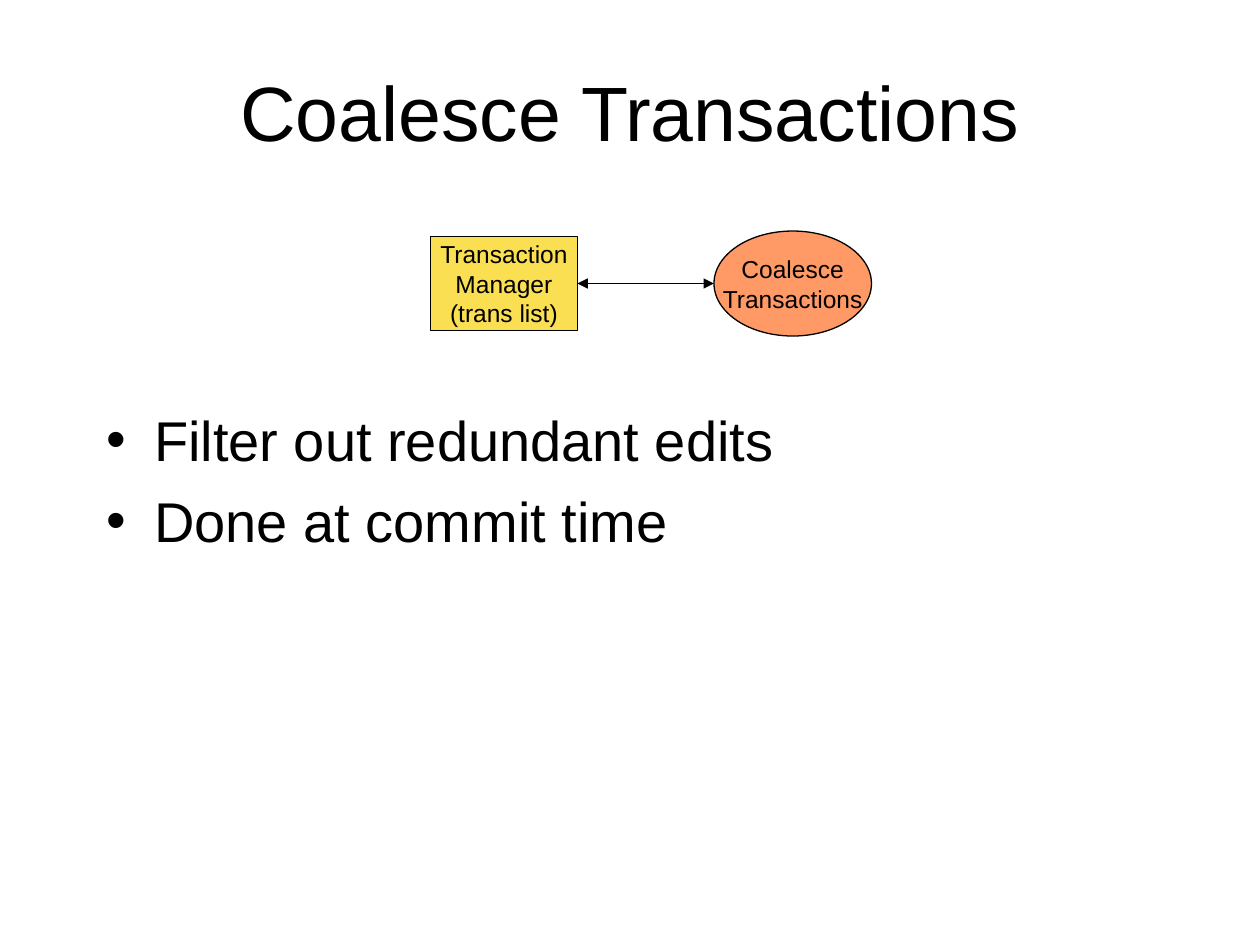
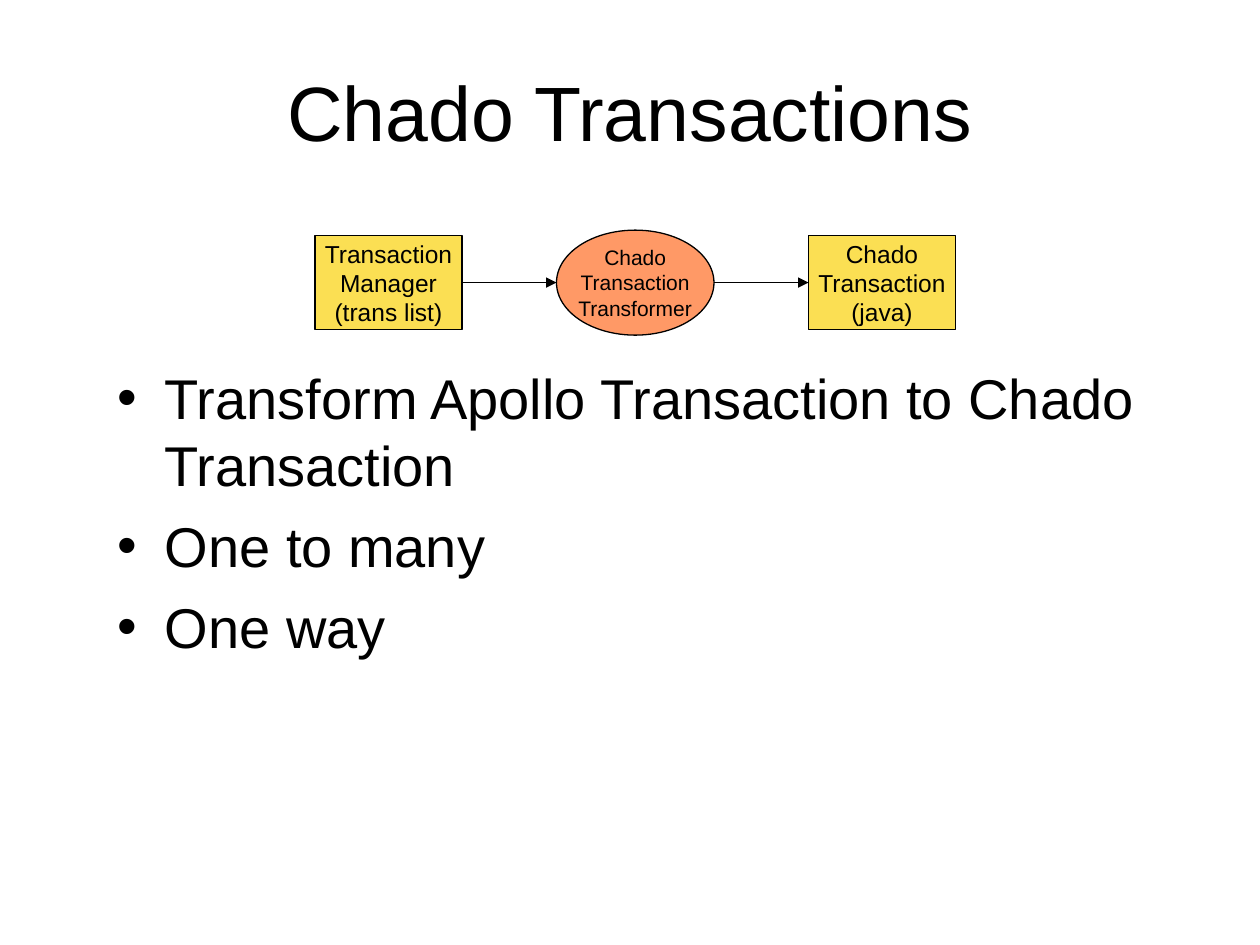
from lxml import etree
from pptx import Presentation
from pptx.dml.color import RGBColor
from pptx.enum import shapes as sh, text as tx
from pptx.oxml import ns
from pptx.util import Pt

FONT = "Arial"
BLACK, GOLD, CORAL = "000000", "FBDF53", "FF9966"
MID = tx.MSO_ANCHOR.MIDDLE
CENTER, LEFT = tx.PP_ALIGN.CENTER, tx.PP_ALIGN.LEFT

# Kind of step: preset shape, fill, width, height
RECT = (sh.MSO_SHAPE.RECTANGLE, GOLD, 84, 54)
OVAL = (sh.MSO_SHAPE.OVAL, CORAL, 90, 60)
MANAGER = (RECT, "Transaction\nManager\n(trans list)", 14)


def color(code):
    return RGBColor.from_string(code)


def add(parent, tag, **attrs):
    return etree.SubElement(parent, ns.qn(tag), attrs)


def style(frame, size, align):
    for para in frame.paragraphs:
        para.alignment = align
        for run in para.runs:
            run.font.name, run.font.size = FONT, Pt(size)
            run.font.color.rgb = color(BLACK)


def add_text(slide, box, words):
    frame = slide.shapes.add_textbox(*map(Pt, box)).text_frame
    frame.word_wrap = True
    frame.text = words
    return frame


def add_title(slide, words):
    frame = add_text(slide, (54, 18, 612, 90), words)
    frame.vertical_anchor = MID
    style(frame, 44, CENTER)


def add_list(slide, box, items):
    frame = add_text(slide, box, "\n".join(items))
    for i, para in enumerate(frame.paragraphs):
        props = para._p.get_or_add_pPr()
        props.set("marL", str(Pt(27)))
        props.set("indent", str(Pt(-27)))
        add(props, "a:buFont", typeface=FONT)
        add(props, "a:buChar", char="•")
        if i:
            para.space_before = Pt(8)
    style(frame, 32, LEFT)


def add_step(slide, left, mid, kind, words, size):
    preset, fill, wide, high = kind
    step = slide.shapes.add_shape(
        preset, Pt(left), Pt(mid - high / 2), Pt(wide), Pt(high))
    step.shadow.inherit = False
    step.fill.solid()
    step.fill.fore_color.rgb = color(fill)
    step.line.color.rgb = color(BLACK)
    step.line.width = Pt(0.75)
    frame = step.text_frame
    frame.text = words
    frame.word_wrap = False
    frame.vertical_anchor = MID
    style(frame, size, CENTER)


def add_arrow(slide, left, right, mid, both):
    arrow = slide.shapes.add_connector(
        sh.MSO_CONNECTOR.STRAIGHT, Pt(left), Pt(mid), Pt(right), Pt(mid))
    arrow.line.color.rgb = color(BLACK)
    arrow.line.width = Pt(0.75)
    line = arrow.line._get_or_add_ln()
    if both:
        add(line, "a:headEnd", type="triangle")
    add(line, "a:tailEnd", type="triangle")
    add(arrow._element.spPr, "a:effectLst")


def add_flow(slide, left, mid, gap, steps, both=False):
    """Steps in a row about one middle line, joined by arrows."""
    for i, (kind, words, size) in enumerate(steps):
        if i:
            add_arrow(slide, left, left + gap, mid, both)
            left += gap
        add_step(slide, left, mid, kind, words, size)
        left += kind[2]


def main():
    deck = Presentation()
    deck.slide_width, deck.slide_height = Pt(720), Pt(540)
    blank = deck.slide_layouts[6]

    # Coalescing
    slide = deck.slides.add_slide(blank)
    add_title(slide, "Coalesce Transactions")
    add_list(slide, (54, 228, 612, 288),
             ["Filter out redundant edits", "Done at commit time"])
    add_flow(slide, 246, 162, 78,
             [MANAGER, (OVAL, "Coalesce\nTransactions", 14)], both=True)

    # Chado transform
    slide = deck.slides.add_slide(blank)
    add_title(slide, "Chado Transactions")
    add_list(slide, (60, 204, 612, 282),
             ["Transform Apollo Transaction to Chado Transaction",
              "One to many", "One way"])
    add_flow(slide, 180, 161.5, 54,
             [MANAGER, (OVAL, "Chado\nTransaction\nTransformer", 12),
              (RECT, "Chado\nTransaction\n(java)", 14)])

    deck.save("out.pptx")


if __name__ == "__main__":
    main()
